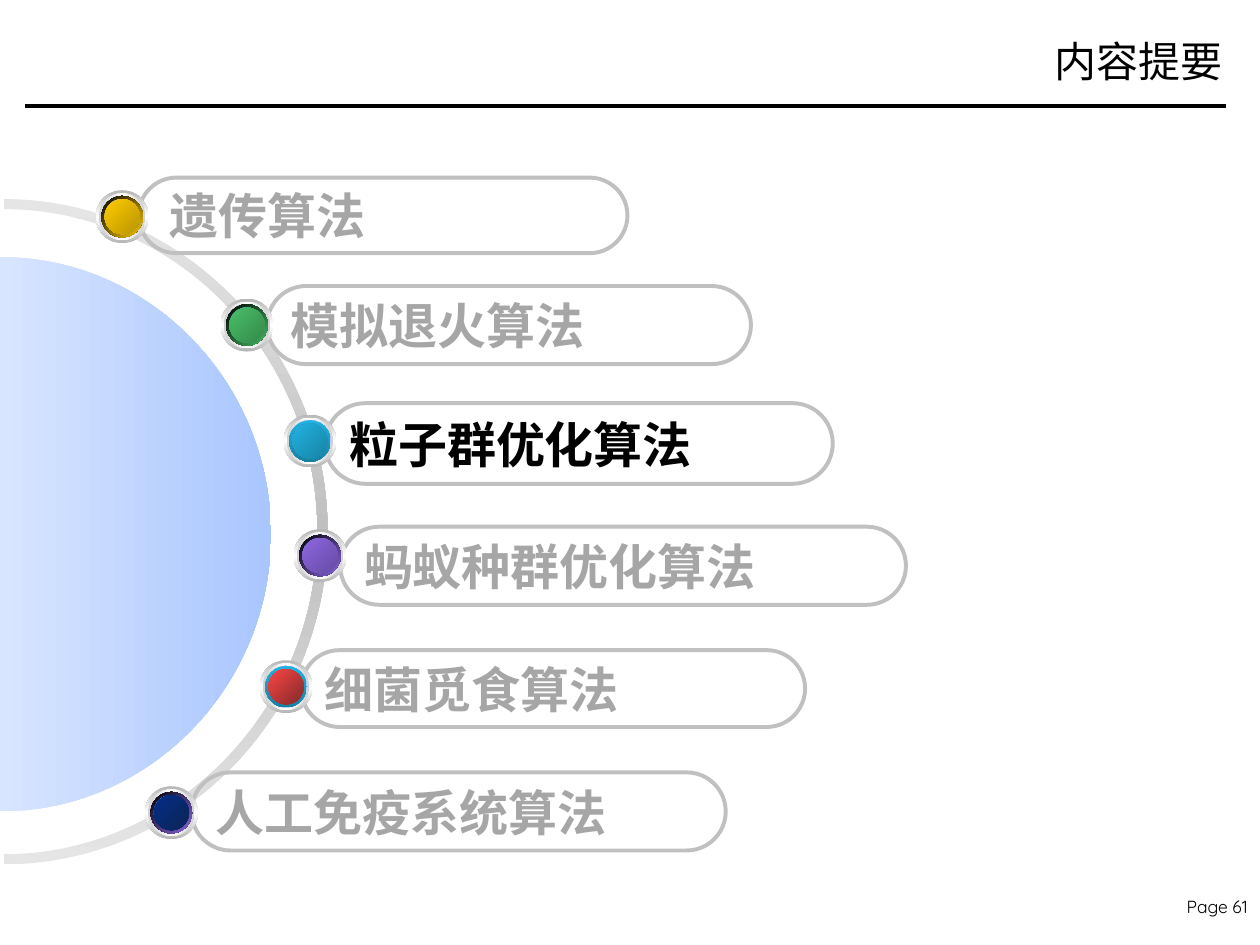
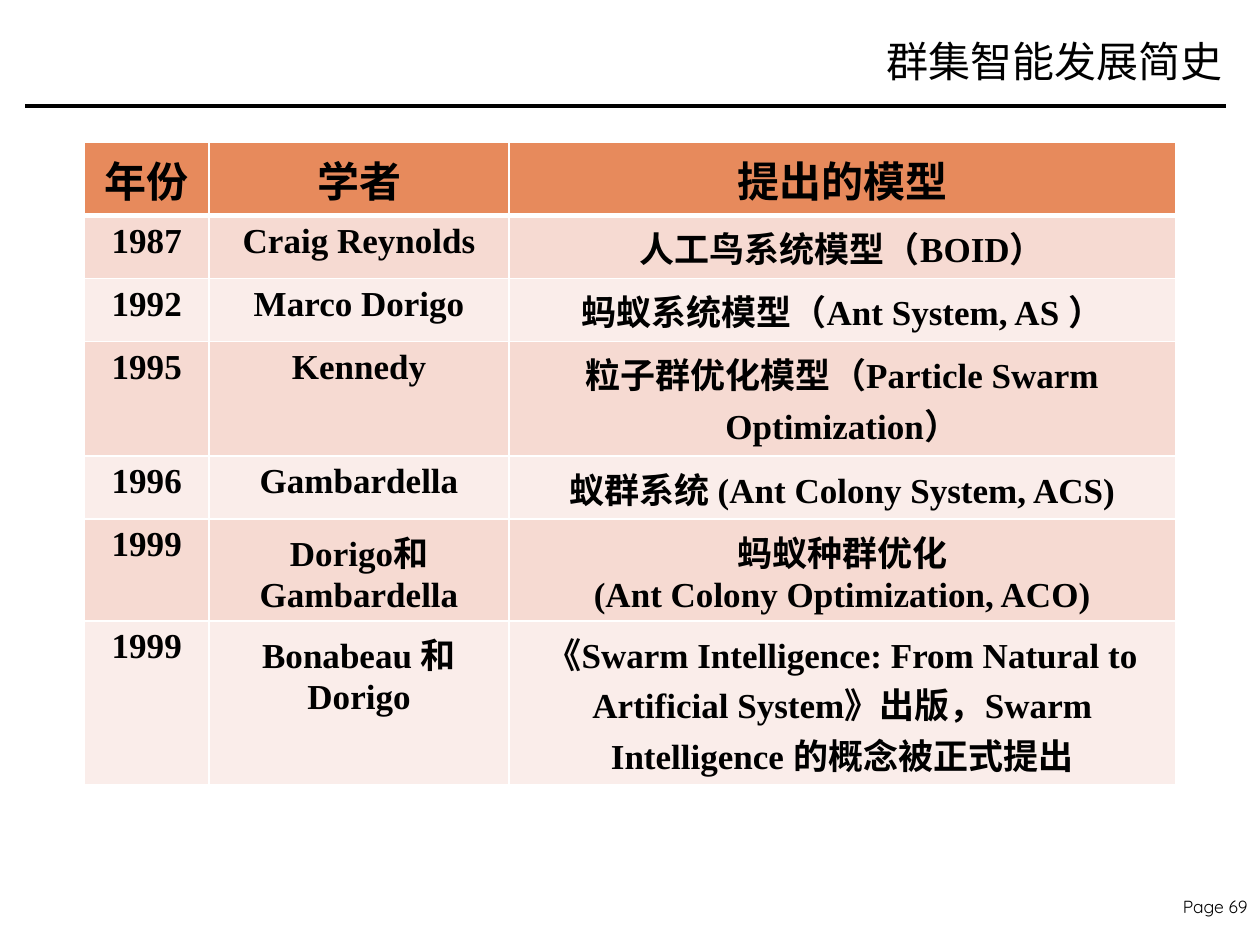
from copy import deepcopy
from dataclasses import dataclass
from typing import Any, NamedTuple

from lxml import etree
from pptx import Presentation
from pptx.dml.color import RGBColor
from pptx.enum import shapes, text
from pptx.oxml.ns import qn
from pptx.util import Inches, Pt


class Look(NamedTuple):
    size: float
    face: str
    hue: str = "000000"
    bold: bool = False


class Blend(NamedTuple):
    hues: tuple[str, ...]
    angle: int


@dataclass(frozen=True)
class Theme:
    black: str = "000000"
    white: str = "FFFFFF"
    edge: str = "C0C0C0"
    head: str = "E78A5C"
    bands: tuple[str, str] = ("F6DAD2", "FAEDEA")
    asian: str = "Noto Sans CJK SC"
    title: Look = Look(24, "Times New Roman")
    page: Look = Look(10, "Quicksand")
    live: Look = Look(28, "Arial", bold=True)
    dim: Look = Look(28, "Arial", "A6A6A6", True)
    label: Look = Look(24, "Noto Sans CJK SC", bold=True)
    cell: Look = Look(20, "Times New Roman", bold=True)
    arc: Blend = Blend(("E5E5E5", "C0C0C0", "E5E5E5"), 90)
    disc: Blend = Blend(("D8E5FF", "A9C6FF"), 0)
    rim: Blend = Blend(("B6B6B6", "FFFFFF", "B6B6B6"), 90)
    ring: Blend = Blend(("D1D1D1", "FFFFFF", "D1D1D1"), 0)
    glow: Blend = Blend(("FFFFFF", "6699FF", "FFFFFF"), 45)
    core: Blend = Blend(("4E75C3", "6699FF", "4E75C3"), 315)


THEME = Theme()


class Topic(NamedTuple):
    words: str
    left: float
    top: float
    width: float
    height: float
    spot: tuple[float, float]
    well: Blend
    ball: Blend
    look: Look = THEME.dim
    inset: float = 0.1


TEAL = Blend(("21B3E1", "1880A1"), 90)
PLUM = Blend(("000000", "8D67E1"), 45)

TOPICS = (
    Topic("遗传算法", 1.1, 1.41, 3.88, 0.6, (0.97, 1.72),
          Blend(("000000", "FFCC00"), 45), Blend(("FFCC00", "BA9500"), 45),
          inset=0.16),
    Topic("模拟退火算法", 2.12, 2.27, 3.84, 0.62, (1.96, 2.58),
          Blend(("000000", "48BE67"), 45), Blend(("48BE67", "358B4B"), 45)),
    Topic("粒子群优化算法", 2.58, 3.2, 4.03, 0.64, (2.46, 3.5),
          TEAL, Blend(("21B3E1", "1883A4"), 45), THEME.live),
    Topic("蚂蚁种群优化算法", 2.7, 4.18, 4.49, 0.62, (2.54, 4.41),
          PLUM, Blend(("8D67E1", "674BA4"), 45)),
    Topic("细菌觅食算法", 2.39, 5.16, 4, 0.61, (2.27, 5.45),
          TEAL, Blend(("FE4444", "832B2B"), 45)),
    Topic("人工免疫系统算法", 1.52, 6.13, 4.24, 0.62, (1.36, 6.45),
          PLUM, Blend(("012D86", "0E2557"), 45)),
)

COLS = (0.99, 2.38, 5.29)
TALL = (0.58, 0.5, 0.5, 0.91, 0.5, 0.81, 1.3)
ROWS = (
    ("年份", "学者", "提出的模型"),
    ("1987", "Craig Reynolds", "人工鸟系统模型（BOID）"),
    ("1992", "Marco Dorigo", "蚂蚁系统模型（Ant System, AS ）"),
    ("1995", "Kennedy", "粒子群优化模型（Particle Swarm Optimization）"),
    ("1996", "Gambardella", "蚁群系统 (Ant Colony System, ACS)"),
    ("1999", "Dorigo和Gambardella",
     "蚂蚁种群优化\n(Ant Colony Optimization, ACO)"),
    ("1999", "Bonabeau 和Dorigo",
     "《Swarm Intelligence: From Natural to Artificial System》出版，"
     "Swarm Intelligence 的概念被正式提出"),
)


def rgb(hue: str) -> RGBColor:
    return RGBColor.from_string(hue)


def apply(thing: Any, form: dict[str, Any]) -> None:
    for key, value in form.items():
        setattr(thing, key, value)


def write(frame: Any, words: str, look: Look, align: Any) -> None:
    frame.text = words
    for para in frame.paragraphs:
        para.alignment = align
        for run in para.runs:
            apply(run.font, {"size": Pt(look.size), "name": look.face,
                             "bold": look.bold})
            run.font.color.rgb = rgb(look.hue)
            etree.SubElement(run._r.get_or_add_rPr(), qn("a:ea"),
                             typeface=THEME.asian)


def shade(shape: Any, blend: Blend) -> None:
    shape.shadow.inherit = False
    shape.line.fill.background()
    shape.fill.gradient()
    shape.fill.gradient_angle = -blend.angle % 360
    stops = shape._element.spPr.find(".//" + qn("a:gsLst"))
    while len(stops) < len(blend.hues):
        stops.append(deepcopy(stops[0]))
    last = len(blend.hues) - 1
    for i, stop in enumerate(shape.fill.gradient_stops):
        stop.color.rgb = rgb(blend.hues[i])
        stop.position = i / last


def start(deck: Any, title: str, width: float, page: int) -> Any:
    slide = deck.slides.add_slide(deck.slide_layouts[5])
    head = slide.shapes.title
    apply(head, {"left": Inches(9.8 - width), "top": Inches(0.11),
                 "width": Inches(width), "height": Inches(0.75)})
    head.text_frame.vertical_anchor = text.MSO_ANCHOR.MIDDLE
    write(head.text_frame, title, THEME.title, text.PP_ALIGN.RIGHT)
    rule = slide.shapes.add_connector(
        shapes.MSO_CONNECTOR.STRAIGHT,
        Inches(0.2), Inches(0.84), Inches(9.73), Inches(0.84))
    rule.line.width = Pt(2)
    rule.line.color.rgb = rgb(THEME.black)
    etree.SubElement(rule._element.spPr, qn("a:effectLst"))
    foot = slide.shapes.add_textbox(
        Inches(9.2), Inches(7.06), Inches(0.8), Inches(0.26))
    foot.text_frame.word_wrap = True
    write(foot.text_frame, f"Page {page}", THEME.page, text.PP_ALIGN.RIGHT)
    return slide


def sweep(x: float, y: float, wide: float,
          high: float) -> list[tuple[int, int]]:
    bend = 0.55
    units = ((0, -1), (bend, -1), (1, -bend), (1, 0),
             (1, bend), (bend, 1), (0, 1))
    return [(Inches(x + wide * u), Inches(y + high * v)) for u, v in units]


def trace(slide: Any, points: list[tuple[int, int]], kinds: str,
          blend: Blend) -> None:
    pen = slide.shapes.build_freeform(*points[0], scale=1.0)
    pen.add_line_segments(points[1:], close=True)
    shape = pen.convert_to_shape()
    lines = iter(shape._element.spPr.findall(".//" + qn("a:lnTo")))
    for kind in kinds:
        line = next(lines)
        if kind == "C":
            line.tag = qn("a:cubicBezTo")
            for extra in (next(lines), next(lines)):
                line.append(extra[0])
                extra.getparent().remove(extra)
    shade(shape, blend)


def draw_pill(slide: Any, topic: Topic) -> None:
    pill = slide.shapes.add_shape(
        shapes.MSO_SHAPE.ROUNDED_RECTANGLE, Inches(topic.left),
        Inches(topic.top), Inches(topic.width), Inches(topic.height))
    pill.adjustments[0] = 0.5
    pill.shadow.inherit = False
    pill.fill.background()
    pill.line.color.rgb = rgb(THEME.edge)
    pill.line.width = Pt(2.25)
    apply(pill.text_frame, {"margin_left": Inches(topic.inset),
                            "word_wrap": True,
                            "vertical_anchor": text.MSO_ANCHOR.MIDDLE})
    write(pill.text_frame, topic.words, topic.look, text.PP_ALIGN.LEFT)


def draw_bead(slide: Any, topic: Topic) -> None:
    group = slide.shapes.add_group_shape()
    x, y = topic.spot
    layers = ((0.42, THEME.rim), (0.37, THEME.ring), (0.33, THEME.glow),
              (0.33, topic.well), (0.28, THEME.core), (0.28, topic.ball))
    for size, blend in layers:
        disc = group.shapes.add_shape(
            shapes.MSO_SHAPE.OVAL, Inches(x - size / 2),
            Inches(y - size / 2), Inches(size), Inches(size))
        shade(disc, blend)


def frame_cell(cell: Any, row: int) -> None:
    props = cell._tc.get_or_add_tcPr()
    for side in "LRTB":
        thick = (side, row) in (("B", 0), ("T", 1))
        line = etree.SubElement(props, qn(f"a:ln{side}"),
                                w=str(Pt(3 if thick else 1)))
        fill = etree.SubElement(line, qn("a:solidFill"))
        etree.SubElement(fill, qn("a:srgbClr"), val=THEME.white)


def draw_table(slide: Any) -> None:
    table = slide.shapes.add_table(
        len(ROWS), len(COLS), Inches(0.67), Inches(1.13),
        Inches(sum(COLS)), Inches(sum(TALL))).table
    for col, width in zip(table.columns, COLS):
        col.width = Inches(width)
    for i, (height, words) in enumerate(zip(TALL, ROWS)):
        table.rows[i].height = Inches(height)
        for j, word in enumerate(words):
            cell = table.cell(i, j)
            frame_cell(cell, i)
            cell.fill.solid()
            cell.fill.fore_color.rgb = rgb(
                THEME.bands[(i - 1) % 2] if i else THEME.head)
            write(cell.text_frame, word, THEME.cell if i else THEME.label,
                  text.PP_ALIGN.CENTER)


def main() -> None:
    deck = Presentation()
    apply(deck, {"slide_width": Inches(10), "slide_height": Inches(7.5)})

    outline = start(deck, "内容提要", 2.52, 61)
    outer = sweep(0.03, 4.22, 2.57, 2.64)
    inner = sweep(0.03, 4.22, 2.49, 2.56)
    trace(outline, outer + inner[::-1], "CCLCC", THEME.arc)
    trace(outline, sweep(0, 4.24, 2.15, 2.2), "CC", THEME.disc)
    for topic in TOPICS:
        draw_pill(outline, topic)
        draw_bead(outline, topic)

    draw_table(start(deck, "群集智能发展简史", 4.94, 69))
    deck.save("out.pptx")


if __name__ == "__main__":
    main()
